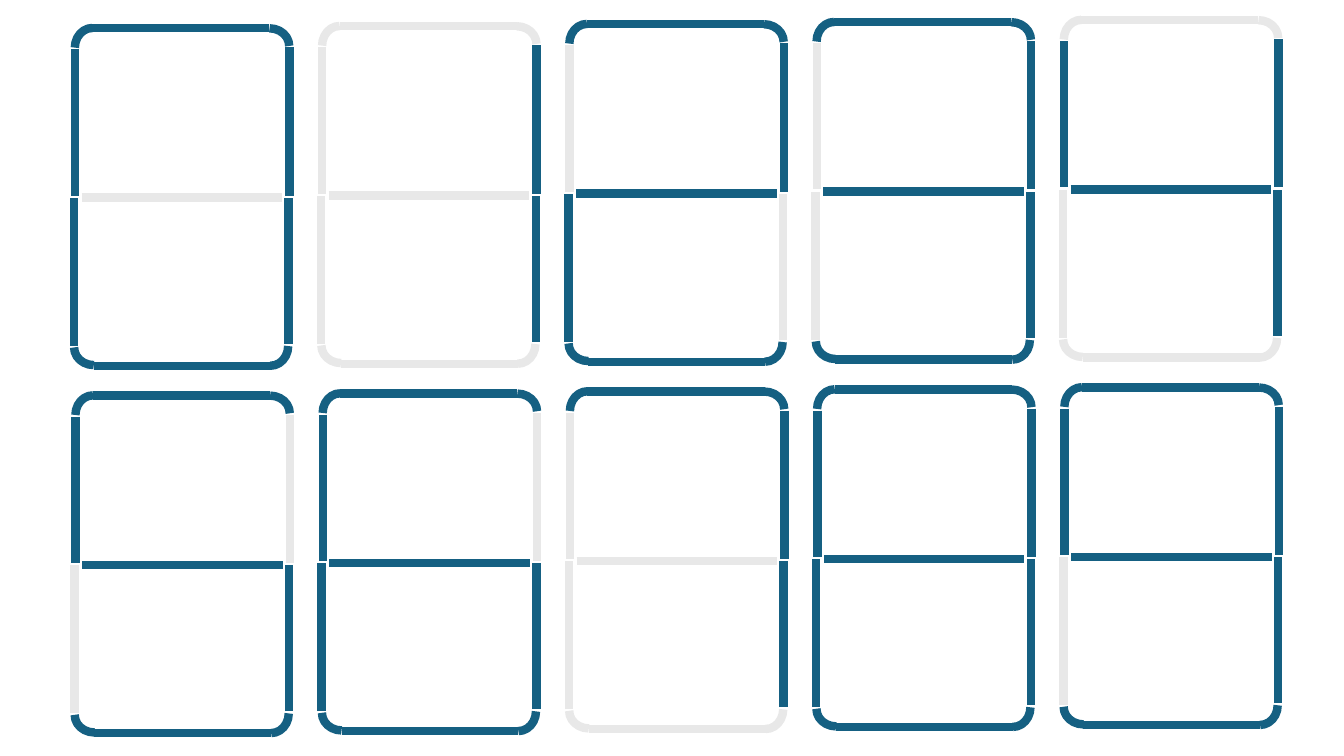
import pptx
import pptx.dml.color
import pptx.enum.shapes
import pptx.util
from pptx.oxml import parse_xml
from pptx.oxml.ns import nsdecls

Pt = pptx.util.Pt

LIT = "156082"
UNLIT = "E8E8E8"
LINE_WIDTH = 6

DIGIT_ROWS = ["01234", "56789"]
LIT_SEGMENTS = {
    "0": "top upper_left upper_right bottom lower_right lower_left",
    "1": "upper_right lower_right",
    "2": "top upper_right middle bottom lower_left",
    "3": "top upper_right middle bottom lower_right",
    "4": "upper_left upper_right middle lower_right",
    "5": "top upper_left middle bottom lower_right",
    "6": "top upper_left middle bottom lower_right lower_left",
    "7": "top upper_right lower_right",
    "8": "top upper_left upper_right middle bottom lower_right lower_left",
    "9": "top upper_left upper_right middle bottom lower_right",
}

SEGMENT_LINES = {
    "top": (14, 0, 140.5, 0),
    "upper_left": (1.6, 15.1, 1.6, 119.5),
    "upper_right": (154.7, 13.7, 154.7, 119.5),
    "middle": (6.3, 121, 149.6, 121),
    "bottom": (141.3, 241.1, 15, 241.1),
    "lower_right": (154.2, 225.4, 154.2, 121),
    "lower_left": (0.8, 226.8, 0.8, 121),
}
CORNER_ARCS = {
    "top": [(0, 1.2, 270), (126.5, 0, 0)],
    "bottom": [(127.2, 214.4, 90), (0.9, 215.4, 180)],
}
ARC_WIDTH, ARC_HEIGHT = 28.1, 25.2

FIRST_LEFT, FIRST_TOP = 52, 20.2
COLUMN_STEP, COLUMN_RISE = 176.6, 1.45
ROW_STEP, ROW_SHIFT = 262.4, 0.4


def color(hex_string):
    return pptx.dml.color.RGBColor.from_string(hex_string)


def set_line(shape, hex_string):
    shape.line.color.rgb = color(hex_string)
    shape.line.width = Pt(LINE_WIDTH)


def add_line(shapes, left, top, ends, hex_string):
    from_x, from_y, to_x, to_y = ends
    connector = shapes.add_connector(
        pptx.enum.shapes.MSO_CONNECTOR.STRAIGHT,
        Pt(left + from_x), Pt(top + from_y), Pt(left + to_x), Pt(top + to_y))
    set_line(connector, hex_string)
    connector._element.spPr.append(parse_xml(f"<a:effectLst {nsdecls('a')}/>"))


def add_corner(shapes, left, top, rotation, hex_string):
    corner = shapes.add_shape(
        pptx.enum.shapes.MSO_SHAPE.ARC,
        Pt(left), Pt(top), Pt(ARC_WIDTH), Pt(ARC_HEIGHT))
    corner.rotation = rotation
    corner.fill.background()
    corner.shadow.inherit = False
    set_line(corner, hex_string)


def add_digit(slide, digit, left, top):
    lit_segments = LIT_SEGMENTS[digit].split()
    for segment, ends in SEGMENT_LINES.items():
        hex_string = LIT if segment in lit_segments else UNLIT
        corners = CORNER_ARCS.get(segment, [])
        shapes = slide.shapes.add_group_shape().shapes if corners else slide.shapes
        add_line(shapes, left, top, ends, hex_string)
        for x, y, rotation in corners:
            add_corner(shapes, left + x, top + y, rotation, hex_string)


def main():
    presentation = pptx.Presentation()
    presentation.slide_width = Pt(960)
    presentation.slide_height = Pt(540)
    slide = presentation.slides.add_slide(presentation.slide_layouts[6])
    for row, digits in enumerate(DIGIT_ROWS):
        for column, digit in enumerate(digits):
            left = FIRST_LEFT + column * COLUMN_STEP + row * ROW_SHIFT
            top = FIRST_TOP + row * ROW_STEP - column * COLUMN_RISE
            add_digit(slide, digit, left, top)
    presentation.save("out.pptx")


if __name__ == "__main__":
    main()
